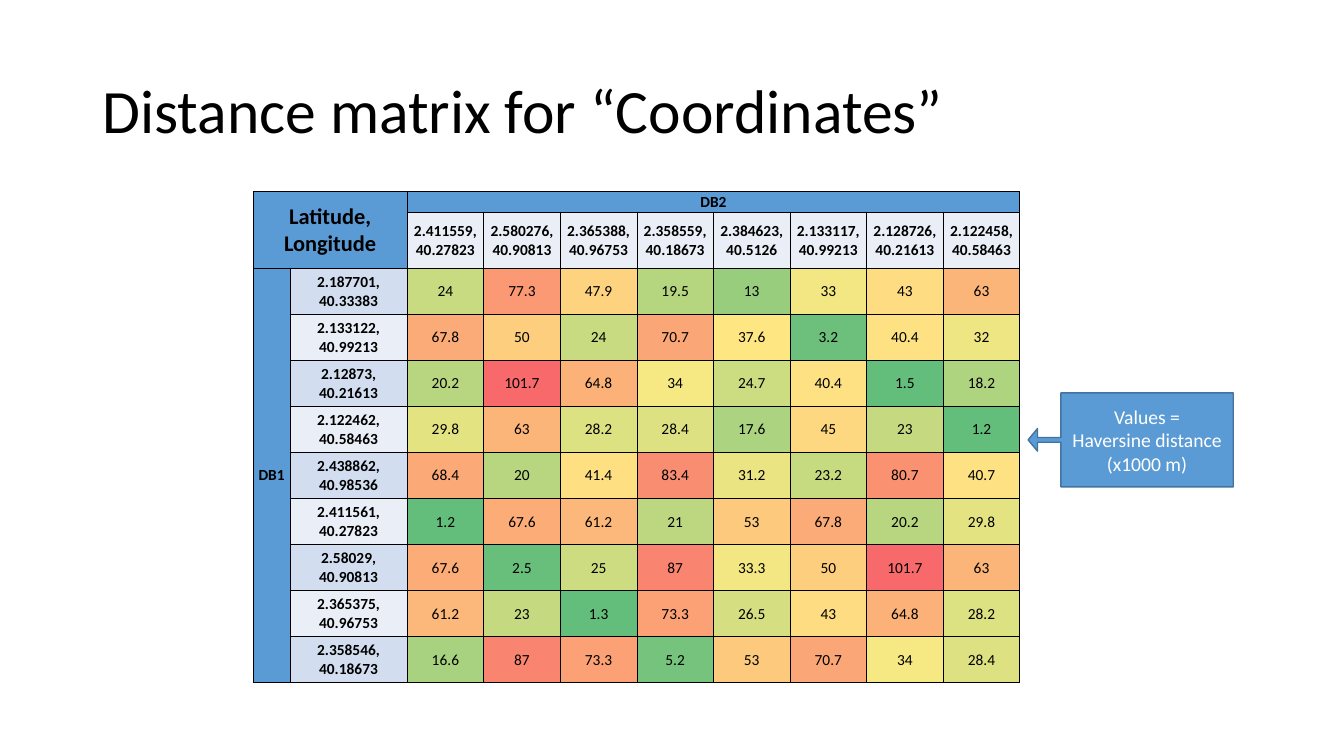
from dataclasses import dataclass

import lxml.etree
import pptx
import pptx.dml.color
import pptx.enum.shapes
import pptx.enum.text
import pptx.oxml.ns
import pptx.util

Cm = pptx.util.Cm
Align = pptx.enum.text.PP_ALIGN


@dataclass(frozen=True)
class Theme:
    font: str = "Calibri"
    ink: str = "000000"
    white: str = "FFFFFF"
    accent: str = "5B9BD5"
    accent_line: str = "43739E"
    band_dark: str = "D2DEEF"
    band_light: str = "EAEFF7"
    scale_low: str = "63BE7B"
    scale_middle: str = "FFEB84"
    scale_high: str = "F8696B"
    title_size: int = 44
    corner_size: int = 16
    callout_size: int = 14
    cell_size: int = 11


@dataclass(frozen=True)
class MatrixCell:
    row: int
    column: int
    text: str
    fill: str
    bold: bool = True
    size: int = 11
    row_span: int = 1
    column_span: int = 1


@dataclass(frozen=True)
class Record:
    coordinates: str
    distances: tuple[float, ...]


THEME = Theme()
DB2_COORDINATES = (
    "2.411559, 40.27823", "2.580276, 40.90813", "2.365388, 40.96753", "2.358559, 40.18673",
    "2.384623, 40.5126", "2.133117, 40.99213", "2.128726, 40.21613", "2.122458, 40.58463",
)
DB1_RECORDS = (
    Record("2.187701, 40.33383", (24, 77.3, 47.9, 19.5, 13, 33, 43, 63)),
    Record("2.133122, 40.99213", (67.8, 50, 24, 70.7, 37.6, 3.2, 40.4, 32)),
    Record("2.12873, 40.21613", (20.2, 101.7, 64.8, 34, 24.7, 40.4, 1.5, 18.2)),
    Record("2.122462, 40.58463", (29.8, 63, 28.2, 28.4, 17.6, 45, 23, 1.2)),
    Record("2.438862, 40.98536", (68.4, 20, 41.4, 83.4, 31.2, 23.2, 80.7, 40.7)),
    Record("2.411561, 40.27823", (1.2, 67.6, 61.2, 21, 53, 67.8, 20.2, 29.8)),
    Record("2.58029, 40.90813", (67.6, 2.5, 25, 87, 33.3, 50, 101.7, 63)),
    Record("2.365375, 40.96753", (61.2, 23, 1.3, 73.3, 26.5, 43, 64.8, 28.2)),
    Record("2.358546, 40.18673", (16.6, 87, 73.3, 5.2, 53, 70.7, 34, 28.4)),
)
HEADER_ROWS = 2
HEADER_COLUMNS = 2
COLUMN_WIDTHS = [0.93, 2.95] + [1.93] * len(DB2_COORDINATES)
ROW_HEIGHTS = [0.5] + [1.16] * (len(DB1_RECORDS) + 1)


def color(value: str) -> pptx.dml.color.RGBColor:
    return pptx.dml.color.RGBColor.from_string(value)


def write_text(text_frame, text: str, *, size: int, ink: str, bold: bool = False,
               align=Align.CENTER, line_spacing: float = 1.0) -> None:
    text_frame.text = text
    text_frame.word_wrap = True
    for paragraph in text_frame.paragraphs:
        paragraph.alignment = align
        paragraph.line_spacing = line_spacing
        for run in paragraph.runs:
            run.font.name = THEME.font
            run.font.size = pptx.util.Pt(size)
            run.font.bold = bold
            run.font.color.rgb = color(ink)


def blend(start: str, end: str, share: float) -> str:
    pairs = zip(color(start), color(end))
    return "".join(f"{int(first + (last - first) * share):02X}" for first, last in pairs)


def heat_color(value: float, ordered: list[float]) -> str:
    low, high = ordered[0], ordered[-1]
    half = len(ordered) // 2
    median = (ordered[half - 1] + ordered[half]) / 2
    if value <= median:
        return blend(THEME.scale_low, THEME.scale_middle, (value - low) / (median - low))
    return blend(THEME.scale_middle, THEME.scale_high, (value - median) / (high - median))


def matrix_cells() -> list[MatrixCell]:
    ordered = sorted(value for record in DB1_RECORDS for value in record.distances)
    cells = [
        MatrixCell(0, 0, "Latitude, Longitude", THEME.accent, size=THEME.corner_size,
                   row_span=HEADER_ROWS, column_span=HEADER_COLUMNS),
        MatrixCell(0, HEADER_COLUMNS, "DB2", THEME.accent, column_span=len(DB2_COORDINATES)),
        MatrixCell(HEADER_ROWS, 0, "DB1", THEME.accent, row_span=len(DB1_RECORDS)),
    ]
    for column, coordinates in enumerate(DB2_COORDINATES, HEADER_COLUMNS):
        cells.append(MatrixCell(1, column, coordinates, THEME.band_light))
    for row, record in enumerate(DB1_RECORDS, HEADER_ROWS):
        band = THEME.band_light if row % 2 else THEME.band_dark
        cells.append(MatrixCell(row, 1, record.coordinates, band))
        for column, value in enumerate(record.distances, HEADER_COLUMNS):
            cells.append(MatrixCell(row, column, f"{value:g}", heat_color(value, ordered), bold=False))
    return cells


def add_borders(cell) -> None:
    properties = cell._tc.get_or_add_tcPr()
    for side in ("lnL", "lnR", "lnT", "lnB"):
        line = lxml.etree.SubElement(properties, pptx.oxml.ns.qn(f"a:{side}"), w=str(pptx.util.Pt(0.5)))
        fill = lxml.etree.SubElement(line, pptx.oxml.ns.qn("a:solidFill"))
        lxml.etree.SubElement(fill, pptx.oxml.ns.qn("a:srgbClr"), val=THEME.ink)


def draw_cell(table, item: MatrixCell) -> None:
    cell = table.cell(item.row, item.column)
    if item.row_span * item.column_span > 1:
        cell.merge(table.cell(item.row + item.row_span - 1, item.column + item.column_span - 1))
    write_text(cell.text_frame, item.text, size=item.size, ink=THEME.ink, bold=item.bold)
    for row in range(item.row, item.row + item.row_span):
        for column in range(item.column, item.column + item.column_span):
            part = table.cell(row, column)
            add_borders(part)
            part.fill.solid()
            part.fill.fore_color.rgb = color(item.fill)
            part.vertical_anchor = pptx.enum.text.MSO_ANCHOR.MIDDLE
            part.margin_left = part.margin_right = part.margin_top = Cm(0.03)
            part.margin_bottom = 0


def add_title(slide) -> None:
    title = slide.shapes.title
    title.left, title.top, title.width, title.height = Cm(2.33), Cm(1.01), Cm(29.21), Cm(3.68)
    write_text(title.text_frame, "Distance matrix for “Coordinates”", size=THEME.title_size,
               ink=THEME.ink, align=Align.LEFT, line_spacing=0.9)
    title.text_frame.auto_size = pptx.enum.text.MSO_AUTO_SIZE.NONE
    title.text_frame.vertical_anchor = pptx.enum.text.MSO_ANCHOR.MIDDLE


def add_callout(slide) -> None:
    callout = slide.shapes.add_shape(pptx.enum.shapes.MSO_SHAPE.LEFT_ARROW_CALLOUT,
                                     Cm(25.91), Cm(9.9), Cm(5.17), Cm(2.37))
    for index, adjustment in enumerate((0.05, 0.12, 0.1, 0.84)):
        callout.adjustments[index] = adjustment
    callout.shadow.inherit = False
    callout.fill.solid()
    callout.fill.fore_color.rgb = color(THEME.accent)
    callout.line.color.rgb = color(THEME.accent_line)
    callout.line.width = pptx.util.Pt(1)
    callout.text_frame.vertical_anchor = pptx.enum.text.MSO_ANCHOR.MIDDLE
    write_text(callout.text_frame, "Values =\nHaversine distance\n(x1000 m)",
               size=THEME.callout_size, ink=THEME.white)


def add_matrix(slide) -> None:
    table = slide.shapes.add_table(len(ROW_HEIGHTS), len(COLUMN_WIDTHS), Cm(6.38), Cm(4.83),
                                   Cm(sum(COLUMN_WIDTHS)), Cm(sum(ROW_HEIGHTS))).table
    table.first_row = table.horz_banding = False
    for column, width in zip(table.columns, COLUMN_WIDTHS):
        column.width = Cm(width)
    for row, height in zip(table.rows, ROW_HEIGHTS):
        row.height = Cm(height)
    for item in matrix_cells():
        draw_cell(table, item)


presentation = pptx.Presentation()
presentation.slide_width = Cm(33.87)
presentation.slide_height = Cm(19.05)
slide = presentation.slides.add_slide(presentation.slide_layouts[5])
add_title(slide)
add_callout(slide)
add_matrix(slide)
presentation.save("out.pptx")
